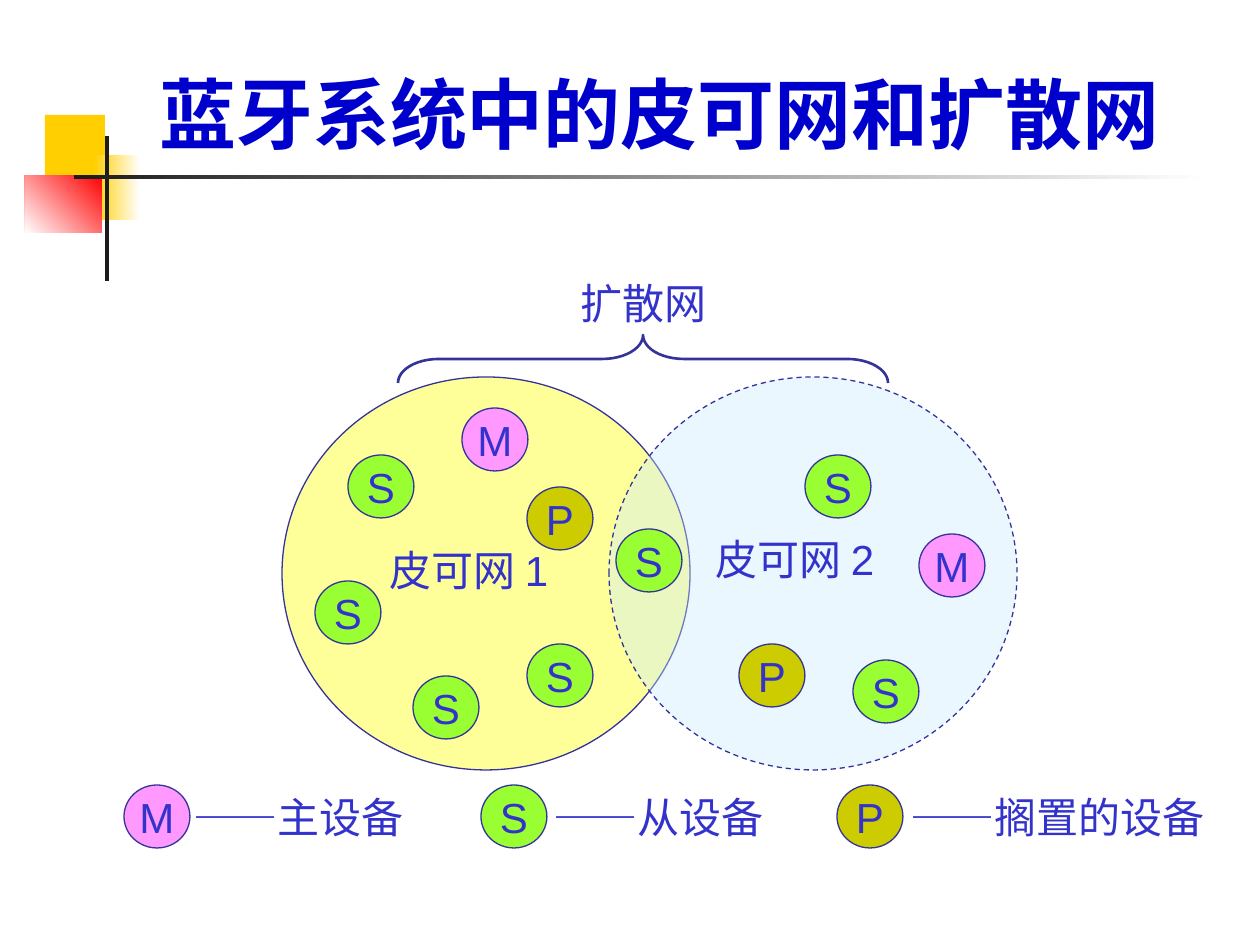
from lxml.etree import SubElement
from pptx import Presentation
from pptx.dml.color import RGBColor
from pptx.enum.dml import MSO_LINE
from pptx.enum.shapes import MSO_SHAPE
from pptx.enum.text import MSO_ANCHOR, MSO_AUTO_SIZE, PP_ALIGN
from pptx.oxml.ns import qn
from pptx.util import Emu, Pt

EMU_PER_PX = 914400 / 126
COLORS = {
    "title": "0000CC", "text": "3333CC", "outline": "333399",
    "yellow": "FFCF01", "red": "FF0000", "dark": "1C1C1C", "white": "FFFFFF",
    "piconet 1": "FFFF99", "piconet 2": "CCECFF",
    "M": "FF99FF", "S": "99FF33", "P": "CCCC00",
}
DEVICE_WIDTH, DEVICE_HEIGHT = 66, 63


def px(value):
    return Emu(round(value * EMU_PER_PX))


def color(name):
    return RGBColor.from_string(COLORS[name])


class SlideBuilder:
    def __init__(self, slide, font="Arial", size=24):
        self.slide = slide
        self.font = font
        self.size = size

    def style_text(self, text_frame, text, align, font=None, size=None, fill="text", bold=False):
        text_frame.text = text
        paragraph = text_frame.paragraphs[0]
        paragraph.alignment = align
        for run in paragraph.runs:
            run.font.name = font or self.font
            run.font.size = Pt(size or self.size)
            run.font.bold = bold
            run.font.color.rgb = color(fill)

    def title(self, text, left, top, width, height):
        shape = self.slide.shapes.title
        shape.left, shape.top, shape.width, shape.height = map(px, (left, top, width, height))
        frame = shape.text_frame
        frame.auto_size = MSO_AUTO_SIZE.NONE
        frame.vertical_anchor = MSO_ANCHOR.BOTTOM
        self.style_text(frame, text, PP_ALIGN.CENTER, size=44, fill="title", bold=True)

    def shape(self, kind, left, top, width, height, fill=None, line=None, line_width=0.75):
        shape = self.slide.shapes.add_shape(kind, px(left), px(top), px(width), px(height))
        shape.shadow.inherit = False
        if fill:
            shape.fill.solid()
            shape.fill.fore_color.rgb = color(fill)
        else:
            shape.fill.background()
        if line:
            shape.line.color.rgb = color(line)
            shape.line.width = Pt(line_width)
        else:
            shape.line.fill.background()
        return shape

    def gradient(self, left, top, width, height, start, end, angle):
        shape = self.shape(MSO_SHAPE.RECTANGLE, left, top, width, height)
        shape.fill.gradient()
        shape.fill.gradient_angle = angle
        for stop, name, position in zip(shape.fill.gradient_stops, (start, end), (0, 1)):
            stop.color.rgb = color(name)
            stop.position = position

    def piconet(self, name, left, top, width, height, opacity=100, dashed=False):
        shape = self.shape(MSO_SHAPE.OVAL, left, top, width, height, name, "outline")
        if opacity < 100:
            fill = shape.element.spPr.find(qn("a:solidFill"))
            SubElement(fill[0], qn("a:alpha"), val=str(opacity * 1000))
        if dashed:
            shape.line.dash_style = MSO_LINE.DASH

    def device(self, letter, left, top):
        shape = self.shape(MSO_SHAPE.OVAL, left, top, DEVICE_WIDTH, DEVICE_HEIGHT,
                           letter, "outline")
        frame = shape.text_frame
        frame.word_wrap = False
        frame.vertical_anchor = MSO_ANCHOR.MIDDLE
        self.style_text(frame, letter, PP_ALIGN.CENTER)

    def brace(self, left, top, width, height):
        # A left brace turned upwards: its own box has the sides swapped
        shape = self.shape(MSO_SHAPE.LEFT_BRACE, left + (width - height) / 2,
                           top + (height - width) / 2, height, width,
                           line="outline", line_width=1.5)
        shape.rotation = 90
        shape.adjustments[0] = 0.85

    def label(self, text, left, top, width, font=None):
        box = self.slide.shapes.add_textbox(px(left), px(top), px(width), px(63))
        box.text_frame.word_wrap = True
        self.style_text(box.text_frame, text, PP_ALIGN.LEFT, font)


def main():
    presentation = Presentation()
    presentation.slide_width, presentation.slide_height = px(1260), px(945)
    builder = SlideBuilder(presentation.slides.add_slide(presentation.slide_layouts[5]))

    # Corner ornament and title
    builder.shape(MSO_SHAPE.RECTANGLE, 45, 115, 60, 65, "yellow")
    builder.gradient(94, 155, 46, 65, "white", "yellow", 180)
    builder.gradient(25, 175, 77, 58, "red", "white", 225)
    builder.shape(MSO_SHAPE.RECTANGLE, 105, 136, 4, 145, "dark")
    builder.gradient(74, 175, 1134, 4, "white", "dark", 180)
    builder.title("蓝牙系统中的皮可网和扩散网", 144, 26, 1032, 139)

    # Two overlapping piconets
    builder.piconet("piconet 1", 282, 377, 408, 393)
    builder.piconet("piconet 2", 609, 377, 408, 393, opacity=39, dashed=True)

    # Devices
    devices = {
        "M": [(462, 408), (919, 534)],
        "S": [(315, 581), (348, 455), (616, 529), (527, 644), (413, 676), (853, 660), (805, 455)],
        "P": [(739, 644), (527, 487)],
    }
    for letter, places in devices.items():
        for left, top in places:
            builder.device(letter, left, top)

    # Names of the networks
    builder.label("皮可网 1", 377, 538, 194)
    builder.label("皮可网 2", 703, 527, 194)
    builder.label("扩散网", 568, 271, 154)
    builder.brace(398, 335, 490, 48)

    # Legend
    legend = [
        ("M", 124, "——主设备", 181, 238),
        ("S", 481, "——从设备", 541, 238),
        ("P", 837, "——搁置的设备", 898, 322),
    ]
    for letter, left, text, text_left, width in legend:
        builder.device(letter, left, 785)
        builder.label(text, text_left, 785, width, "Cabin")

    presentation.save("out.pptx")


if __name__ == "__main__":
    main()
